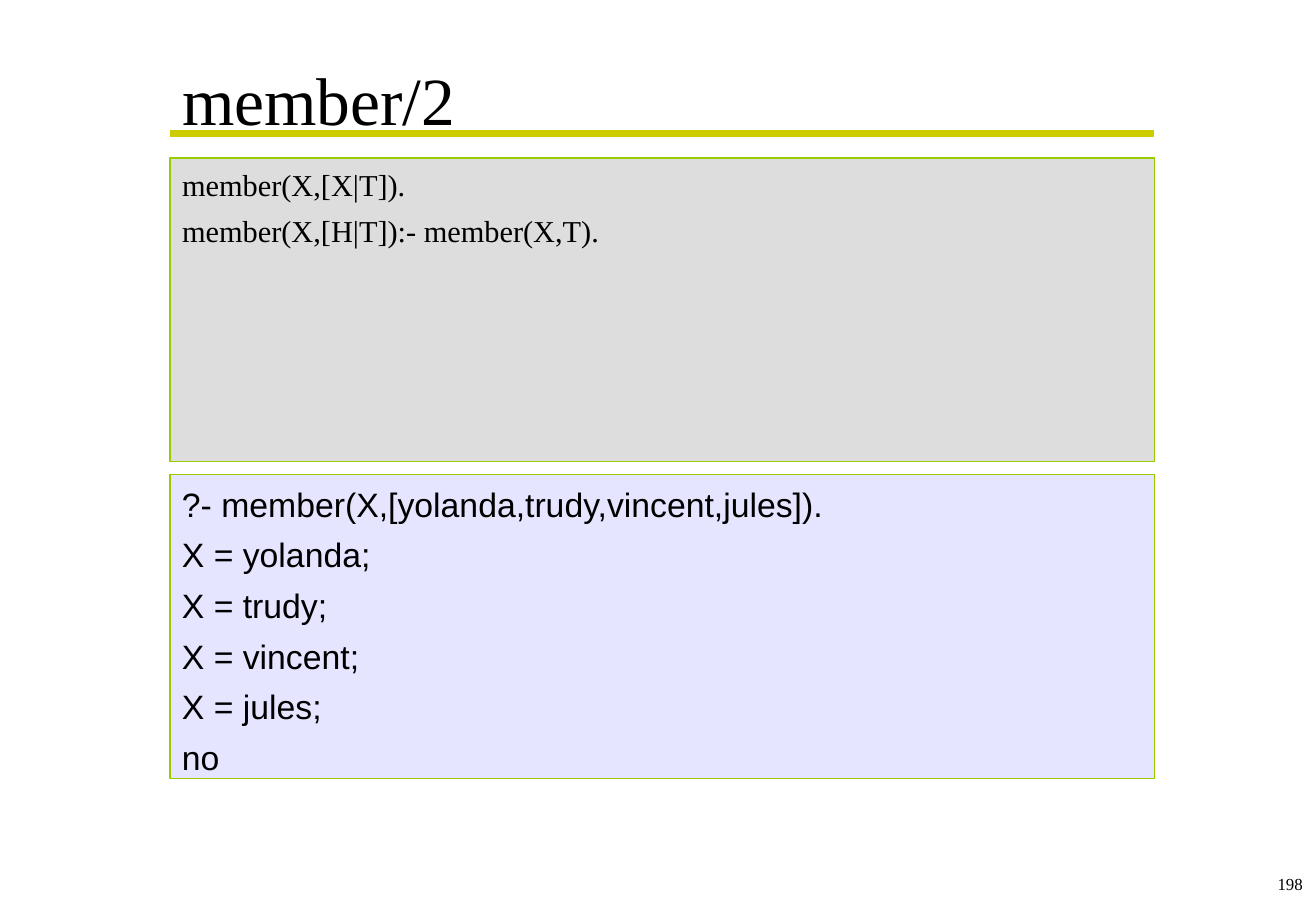
import pptx
import pptx.dml.color
import pptx.enum.shapes
import pptx.enum.text
import pptx.oxml.ns
import pptx.util
from lxml import etree

Inches = pptx.util.Inches
Pt = pptx.util.Pt
Align = pptx.enum.text.PP_ALIGN
Anchor = pptx.enum.text.MSO_ANCHOR

COLORS = {
    "text": "000000",
    "rule": "CCCC00",
    "border": "99CC00",
    "code": "DDDDDD",
    "query": "CCCCFF",
}
LEFT, WIDTH = 1.4, 8.11
PANEL_TOP, PANEL_HEIGHT, PANEL_PITCH = 1.3, 2.5, 2.61
HANGING = 0.38

CODE_LINES = ["member(X,[X|T]).", "member(X,[H|T]):- member(X,T)."]
QUERY_LINES = [
    "?- member(X,[yolanda,trudy,vincent,jules]).",
    "X = yolanda;",
    "X = trudy;",
    "X = vincent;",
    "X = jules;",
    "no",
]


def color(name):
    return pptx.dml.color.RGBColor.from_string(COLORS[name])


def set_all(target, values):
    for name, value in values.items():
        setattr(target, name, value)


def place(shape, box):
    names = ("left", "top", "width", "height")
    set_all(shape, {name: Inches(size) for name, size in zip(names, box)})


def write(shape, lines, font, size, gap=0, align=Align.LEFT,
          anchor=Anchor.TOP, inset_top=0.05, hanging=0):
    """Fill the shape with one paragraph per line, gap points apart."""
    frame = shape.text_frame
    set_all(frame, {
        "word_wrap": True,
        "auto_size": pptx.enum.text.MSO_AUTO_SIZE.NONE,
        "vertical_anchor": anchor,
        "margin_left": Inches(0.1),
        "margin_right": Inches(0.1),
        "margin_top": Inches(inset_top),
        "margin_bottom": Inches(0.05),
    })
    for index, line in enumerate(lines):
        para = frame.paragraphs[0] if index == 0 else frame.add_paragraph()
        properties = para._p.get_or_add_pPr()
        properties.set("marL", str(Inches(hanging)))
        properties.set("indent", str(-Inches(hanging)))
        etree.SubElement(properties, pptx.oxml.ns.qn("a:buNone"))
        set_all(para, {"alignment": align, "space_before": Pt(gap if index else 0)})
        span = para.add_run()
        span.text = line
        set_all(span.font, {"name": font, "size": Pt(size)})
        span.font.color.rgb = color("text")


def add_heading(page, box):
    left, top, width, height = box
    title = page.shapes.title
    place(title, box)
    write(title, ["member/2"], "Times New Roman", 40,
          anchor=Anchor.MIDDLE, inset_top=0.18)
    rule_y = Inches(top + 0.82)
    rule = page.shapes.add_connector(
        pptx.enum.shapes.MSO_CONNECTOR.STRAIGHT,
        Inches(left), rule_y, Inches(left + width), rule_y)
    rule.line.color.rgb = color("rule")
    rule.line.width = Pt(4.5)
    etree.SubElement(rule._element.spPr, pptx.oxml.ns.qn("a:effectLst"))


def style_panel(panel, box, fill):
    place(panel, box)
    panel.fill.solid()
    panel.fill.fore_color.rgb = color(fill)
    panel.line.color.rgb = color("border")
    panel.line.width = Pt(0.75)


def add_code_panel(page, box):
    panel = page.placeholders[1]
    style_panel(panel, box, "code")
    write(panel, CODE_LINES, "Times New Roman", 18, gap=5.5,
          inset_top=0.07, hanging=HANGING)


def add_query_panel(page, box):
    panel = page.shapes.add_shape(
        pptx.enum.shapes.MSO_SHAPE.RECTANGLE, 0, 0, 0, 0)
    panel.shadow.inherit = False
    style_panel(panel, box, "query")
    fill_color = panel._element.spPr.find(".//" + pptx.oxml.ns.qn("a:srgbClr"))
    etree.SubElement(fill_color, pptx.oxml.ns.qn("a:alpha"), val="50000")
    write(panel, QUERY_LINES, "Arial", 20, gap=6,
          inset_top=0.07, hanging=HANGING)


def add_page_number(page, box):
    number = page.shapes.add_textbox(0, 0, 0, 0)
    place(number, box)
    write(number, ["198"], "Times New Roman", 10, align=Align.RIGHT)


def main():
    deck = pptx.Presentation()
    set_all(deck, {"slide_width": Inches(10.84), "slide_height": Inches(7.5)})
    page = deck.slides.add_slide(deck.slide_layouts[1])
    add_heading(page, (LEFT, 0.28, WIDTH, 0.93))
    add_code_panel(page, (LEFT, PANEL_TOP, WIDTH, PANEL_HEIGHT))
    add_query_panel(page, (LEFT, PANEL_TOP + PANEL_PITCH, WIDTH, PANEL_HEIGHT))
    add_page_number(page, (9.03, 7.14, 1.8, 0.36))
    deck.save("out.pptx")


if __name__ == "__main__":
    main()
